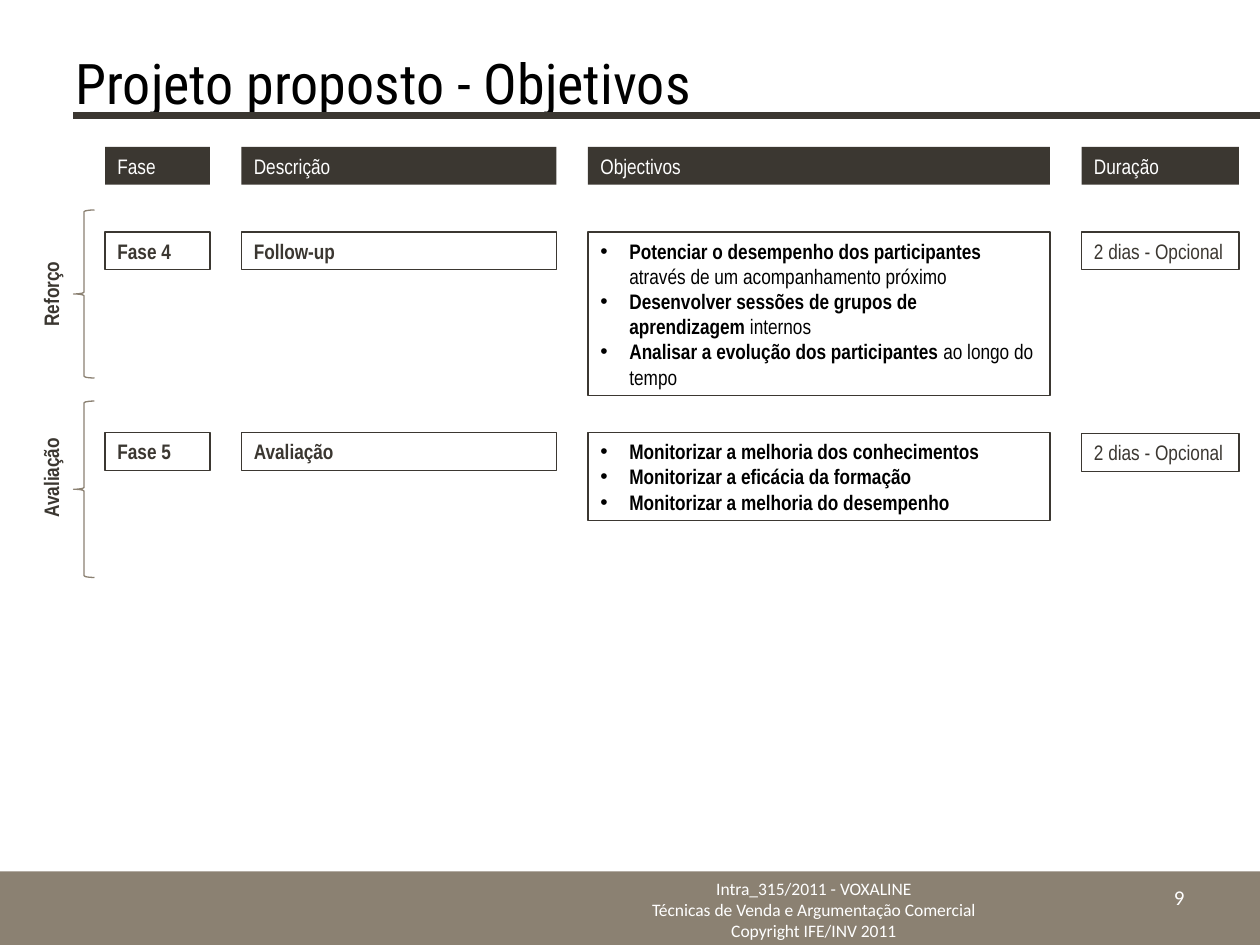
from dataclasses import dataclass

from lxml.etree import SubElement
from pptx import Presentation
from pptx.dml.color import RGBColor
from pptx.enum.shapes import MSO_CONNECTOR, MSO_SHAPE
from pptx.enum.text import MSO_ANCHOR, MSO_AUTO_SIZE, PP_ALIGN
from pptx.oxml.ns import qn
from pptx.util import Inches, Pt

DARK, TAUPE, WHITE, BLACK = "3B3731", "8B8172", "FFFFFF", "000000"
COLUMN_WIDTHS, GAP, FIRST_COLUMN = (10, 30, 44, 15), 3, 10
LEFTS = [FIRST_COLUMN + sum(COLUMN_WIDTHS[:i]) + GAP * i for i in range(4)]
HEADERS = ("Fase", "Descrição", "Objectivos", "Duração")
ROW_HEIGHT = 3.6


@dataclass
class Style:
    size: float = 12
    font: str = "Arial Narrow"
    color: str = DARK
    bold: bool = False
    align: PP_ALIGN = PP_ALIGN.LEFT
    anchor: MSO_ANCHOR = MSO_ANCHOR.TOP
    grow: bool = True


@dataclass
class Phase:
    stage: str
    name: str
    description: str
    goals: list[tuple[str, str]]
    duration: str
    top: float
    duration_top: float
    goals_height: float
    brace_top: float
    brace_height: float
    label_mid: float
    label_width: float


PHASES = [
    Phase("Reforço", "Fase 4", "Follow-up", [
        ("Potenciar o desempenho dos participantes ", "através de um acompanhamento próximo"),
        ("Desenvolver sessões de grupos de aprendizagem ", "internos"),
        ("Analisar a evolução dos participantes ", "ao longo do tempo"),
    ], "2 dias - Opcional", 22.1, 22.1, 15.6, 20, 16, 28, 10),
    Phase("Avaliação", "Fase 5", "Avaliação", [
        ("Monitorizar a melhoria dos conhecimentos", ""),
        ("Monitorizar a eficácia da formação", ""),
        ("Monitorizar a melhoria do desempenho", ""),
    ], "2 dias - Opcional", 41.2, 41.3, 8.4, 38.2, 16.8, 45.5, 13),
]


def rgb(color: str) -> RGBColor:
    """Turn a hex string into a colour."""
    return RGBColor.from_string(color)


def grid(*units: float) -> list[int]:
    """Convert grid units of a twelfth of an inch to lengths."""
    return [Inches(u / 12) for u in units]


def set_font(font, style: Style, bold: bool) -> None:
    """Apply the style to a font."""
    font.size, font.name, font.bold = Pt(style.size), style.font, bold
    font.color.rgb = rgb(style.color)


def write(sp, text: str, style: Style) -> None:
    """Fill a shape with one paragraph per line of text."""
    tf = sp.text_frame
    tf.text = text
    tf.word_wrap = True
    tf.vertical_anchor = style.anchor
    tf.auto_size = MSO_AUTO_SIZE.SHAPE_TO_FIT_TEXT if style.grow else MSO_AUTO_SIZE.NONE
    for p in tf.paragraphs:
        p.alignment = style.align
        for r in p.runs:
            set_font(r.font, style, style.bold)


def add_text(s, box: tuple, text: str, style: Style):
    """Add a text box on the grid."""
    sp = s.shapes.add_textbox(*grid(*box))
    write(sp, text, style)
    return sp


def add_preset(s, kind: MSO_SHAPE, box: tuple, fill: str = "", line: str = ""):
    """Add a flat preset shape with an optional fill and outline."""
    sp = s.shapes.add_shape(kind, *grid(*box))
    sp.shadow.inherit = False
    if fill:
        sp.fill.solid()
        sp.fill.fore_color.rgb = rgb(fill)
    else:
        sp.fill.background()
    if line:
        sp.line.color.rgb = rgb(line)
        sp.line.width = Pt(0.75)
    else:
        sp.line.fill.background()
    return sp


def add_cell(s, column: int, top: float, text: str, style: Style,
             fill: str = "", height: float = ROW_HEIGHT):
    """Add a box in one of the four columns."""
    box = (LEFTS[column], top, COLUMN_WIDTHS[column], height)
    sp = add_preset(s, MSO_SHAPE.RECTANGLE, box, fill, "" if fill else DARK)
    write(sp, text, style)
    return sp


def add_goals(s, phase: Phase) -> None:
    """Add the bulleted goals of a phase."""
    style = Style(color=BLACK, bold=True)
    lines = "\n".join(lead for lead, _ in phase.goals)
    sp = add_cell(s, 2, phase.top, lines, style, height=phase.goals_height)
    for p, (_, rest) in zip(sp.text_frame.paragraphs, phase.goals):
        pPr = p._p.get_or_add_pPr()
        pPr.set("marL", str(Inches(0.23)))
        pPr.set("indent", str(-Inches(0.23)))
        SubElement(pPr, qn("a:buFont")).set("typeface", "Arial")
        SubElement(pPr, qn("a:buChar")).set("char", "•")
        if rest:
            r = p.add_run()
            r.text = rest
            set_font(r.font, style, False)


def add_phase(s, phase: Phase) -> None:
    """Add the row of a phase with its brace and rotated stage label."""
    bold = Style(bold=True)
    add_cell(s, 0, phase.top, phase.name, bold)
    add_cell(s, 1, phase.top, phase.description, bold)
    add_goals(s, phase)
    add_cell(s, 3, phase.duration_top, phase.duration, Style())
    add_preset(s, MSO_SHAPE.LEFT_BRACE, (7, phase.brace_top, 2, phase.brace_height), line=TAUPE)
    box = (4.85 - phase.label_width / 2, phase.label_mid - ROW_HEIGHT / 2,
           phase.label_width, ROW_HEIGHT)
    sp = add_text(s, box, phase.stage, Style(bold=True, align=PP_ALIGN.CENTER))
    sp.rotation = 270


def add_frame(s) -> None:
    """Add the title with its rule, the footer band and the page number."""
    add_preset(s, MSO_SHAPE.RECTANGLE, (0, 83, 120, 7), TAUPE)
    footer = ("Intra_315/2011 - VOXALINE\n"
              "Técnicas de Venda e Argumentação Comercial\n"
              "Copyright IFE/INV 2011")
    add_text(s, (57, 83, 41, 7), footer,
             Style(10, "Calibri", WHITE, align=PP_ALIGN.CENTER, grow=False))
    add_text(s, (6, 3.6, 108, 8.4), "Projeto proposto - Objetivos",
             Style(32, "Roboto Condensed", BLACK, anchor=MSO_ANCHOR.MIDDLE, grow=False))
    rule = s.shapes.add_connector(MSO_CONNECTOR.STRAIGHT, *grid(7, 11, 120, 11))
    rule.line.color.rgb = rgb(DARK)
    rule.line.width = Pt(3.75)
    SubElement(rule._element.spPr, qn("a:effectLst"))
    add_text(s, (86, 83, 28, 4.8), "9",
             Style(12, "Calibri", WHITE, align=PP_ALIGN.RIGHT,
                   anchor=MSO_ANCHOR.MIDDLE, grow=False))


def main() -> None:
    """Build the slide and save it."""
    prs = Presentation()
    prs.slide_width, prs.slide_height = Inches(10), Inches(7.5)
    s = prs.slides.add_slide(prs.slide_layouts[6])
    add_frame(s)
    for column, header in enumerate(HEADERS):
        add_cell(s, column, 14, header, Style(color=WHITE), DARK)
    for phase in PHASES:
        add_phase(s, phase)
    prs.save("out.pptx")


if __name__ == "__main__":
    main()
